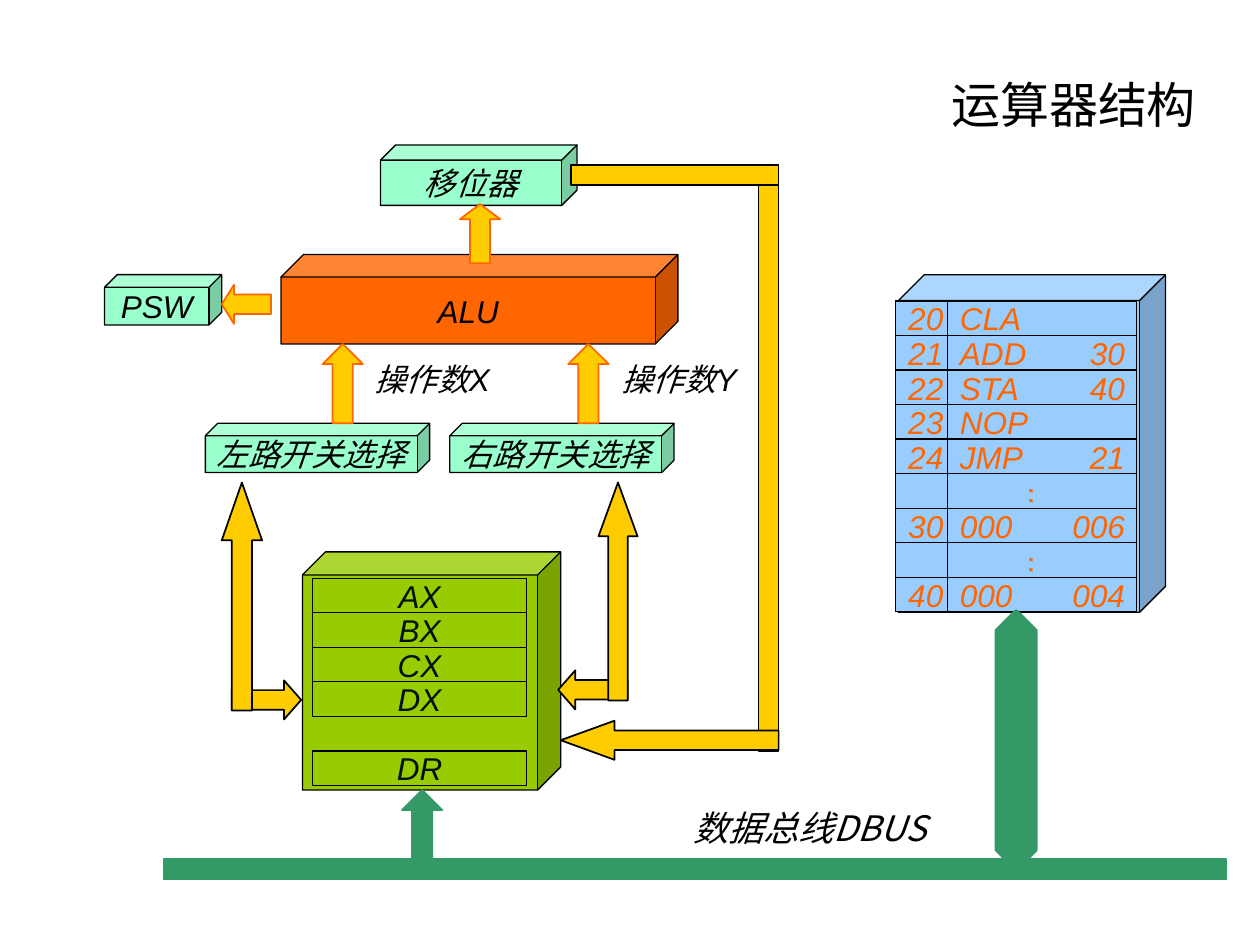
from lxml import etree
from pptx import Presentation
from pptx import util as u
from pptx.dml.color import RGBColor
from pptx.enum import shapes, text
from pptx.oxml.ns import qn

COLORS = {
    "black": "000000", "ink": "001010", "orange": "FF6600", "sky": "99CCFF",
    "mint": "99FFCC", "lime": "99CC00", "gold": "FFCC00", "bus": "339966",
}
KIND = shapes.MSO_SHAPE
ALIGN = text.PP_ALIGN
ANCHOR = text.MSO_ANCHOR
CELL = u.Inches(0.1)  # the page is a grid of 100 columns by 75 rows

deck = Presentation()
deck.slide_width, deck.slide_height = 100 * CELL, 75 * CELL
page = deck.slides.add_slide(deck.slide_layouts[6])


def draw(kind, place, fill, line="black", weight=0.75, adjust=()):
    """Add a filled preset shape; place is left, top, width, height in grid cells."""
    box = page.shapes.add_shape(kind, *(round(n * CELL) for n in place))
    box.shadow.inherit = False
    box.fill.solid()
    box.fill.fore_color.rgb = RGBColor.from_string(COLORS[fill])
    box.line.color.rgb = RGBColor.from_string(COLORS[line])
    box.line.width = u.Pt(weight)
    for index, value in enumerate(adjust):
        box.adjustments[index] = value
    return box


def write(box, words, color="black", align=ALIGN.CENTER, size=18, font="Arial",
          italic=True, wrap=False, anchor=ANCHOR.MIDDLE, tab=None):
    frame = box.text_frame
    frame.word_wrap = wrap
    frame.vertical_anchor = anchor
    frame.text = words
    para = frame.paragraphs[0]
    para.alignment = align
    if tab:
        stops = etree.SubElement(para._p.get_or_add_pPr(), qn("a:tabLst"))
        etree.SubElement(stops, qn("a:tab"), pos=str(round(tab * CELL)), algn="r")
    for span in para.runs:
        span.font.size = u.Pt(size)
        span.font.name = font
        span.font.italic = italic
        span.font.color.rgb = RGBColor.from_string(COLORS[color])


# Memory: one row per word, address on the left and contents on the right
ROW = 2.74
draw(KIND.CUBE, (71.3, 21.8, 21.2, 26.8), "sky", adjust=[0.097])
memory = [
    ("20", "CLA"), ("21", "ADD\t30"), ("22", "STA\t40"), ("23", "NOP"),
    ("24", "JMP\t21"), ("", "…"), ("30", "000\t006"), ("", "…"), ("40", "000\t004"),
]
for row, (address, contents) in enumerate(memory):
    top = 23.9 + row * ROW
    word_box = draw(KIND.RECTANGLE, (75.2, top, 15, ROW), "sky")
    if contents == "…":
        write(word_box, contents, "orange", ALIGN.LEFT)
        word_box.text_frame._txBody.bodyPr.set("vert", "eaVert")
    else:
        word_box.text_frame.margin_right = 0
        write(word_box, contents, "orange", ALIGN.LEFT, wrap=True, tab=13.1)
    address_box = draw(KIND.RECTANGLE, (71.1, top, 4.1, ROW), "sky")
    if address:
        write(address_box, address, "orange", ALIGN.LEFT)

# Processing units
units = [
    ("ALU", (22.3, 20.2, 31.5, 7.1), "orange"),
    ("PSW", (8.3, 21.8, 9.3, 4), "mint"),
    ("左路开关选择", (16.3, 33.6, 17.8, 3.9), "mint"),
    ("右路开关选择", (35.7, 33.6, 17.8, 3.9), "mint"),
    ("移位器", (30.2, 11.5, 15.6, 4.8), "mint"),
]
for name, place, fill in units:
    write(draw(KIND.CUBE, place, fill, adjust=[0.252]), name)

# Registers: DR stands one empty row below the others
draw(KIND.CUBE, (24, 43.8, 20.5, 18.9), "lime", adjust=[0.097])
for row, name in enumerate(["AX", "BX", "CX", "DX", None, "DR"]):
    if name:
        place = (24.8, 45.9 + row * ROW, 17, ROW)
        write(draw(KIND.RECTANGLE, place, "lime"), name, "ink")

# Data paths, each arrow with the length of its head
paths = [
    (KIND.RIGHT_ARROW, (18.4, 54, 5.5, 3.1), "gold", "black", 1, 0.439),
    (KIND.UP_ARROW, (17.6, 38.3, 3.2, 18.1), "gold", "black", 1, 1.434),
    (KIND.LEFT_ARROW, (44.3, 53.2, 5.5, 3.1), "gold", "black", 1, 0.439),
    (KIND.UP_ARROW, (47.5, 38.3, 3.1, 17.3), "gold", "black", 1, 1.378),
    (KIND.UP_ARROW, (25.6, 27.3, 3.2, 6.3), "gold", "orange", 1, 0.499),
    (KIND.UP_ARROW, (45.1, 27.3, 3.2, 6.3), "gold", "orange", 1, 0.499),
    (KIND.LEFT_ARROW, (17.6, 22.6, 3.9, 3.1), "gold", "orange", 1, 0.314),
    (KIND.UP_ARROW, (36.5, 16.2, 3.2, 4.7), "gold", "orange", 1, 0.374),
    (KIND.RECTANGLE, (60.2, 13.1, 1.6, 46.5), "gold", "black", 1, None),
    (KIND.LEFT_ARROW, (44.5, 57.2, 17.3, 3.1), "gold", "black", 1, 1.378),
    (KIND.RECTANGLE, (45.3, 13.1, 16.5, 1.6), "gold", "black", 1, None),
    (KIND.RECTANGLE, (13, 68.2, 84.3, 1.6), "bus", "bus", 1, None),
    (KIND.UP_ARROW, (31.9, 62.7, 3.2, 6.3), "bus", "bus", 1, 0.499),
    (KIND.UP_DOWN_ARROW, (79.1, 48.5, 3.1, 20.5), "bus", "bus", 2.25, 1.303),
]
for kind, place, fill, line, weight, head in paths:
    draw(kind, place, fill, line, weight, [0.5, head] if head else ())

# Title and labels
CJK = "Noto Sans CJK SC"
labels = [
    ("运算器结构", (54.5, 3.3, 41.4, 9.9),
     dict(align=ALIGN.RIGHT, size=28, font=CJK, italic=False, anchor=ANCHOR.MIDDLE)),
    ("数据总线DBUS", (52.4, 63.5, 23.8, 4.4), dict(size=20, font=CJK, anchor=ANCHOR.TOP)),
    ("操作数X", (27.2, 28.1, 14.2, 4), dict(anchor=ANCHOR.TOP)),
    ("操作数Y", (46.8, 28.1, 14.2, 4), dict(anchor=ANCHOR.TOP)),
]
for words, place, style in labels:
    label = page.shapes.add_textbox(*(round(n * CELL) for n in place))
    write(label, words, wrap=True, **style)

deck.save("out.pptx")
